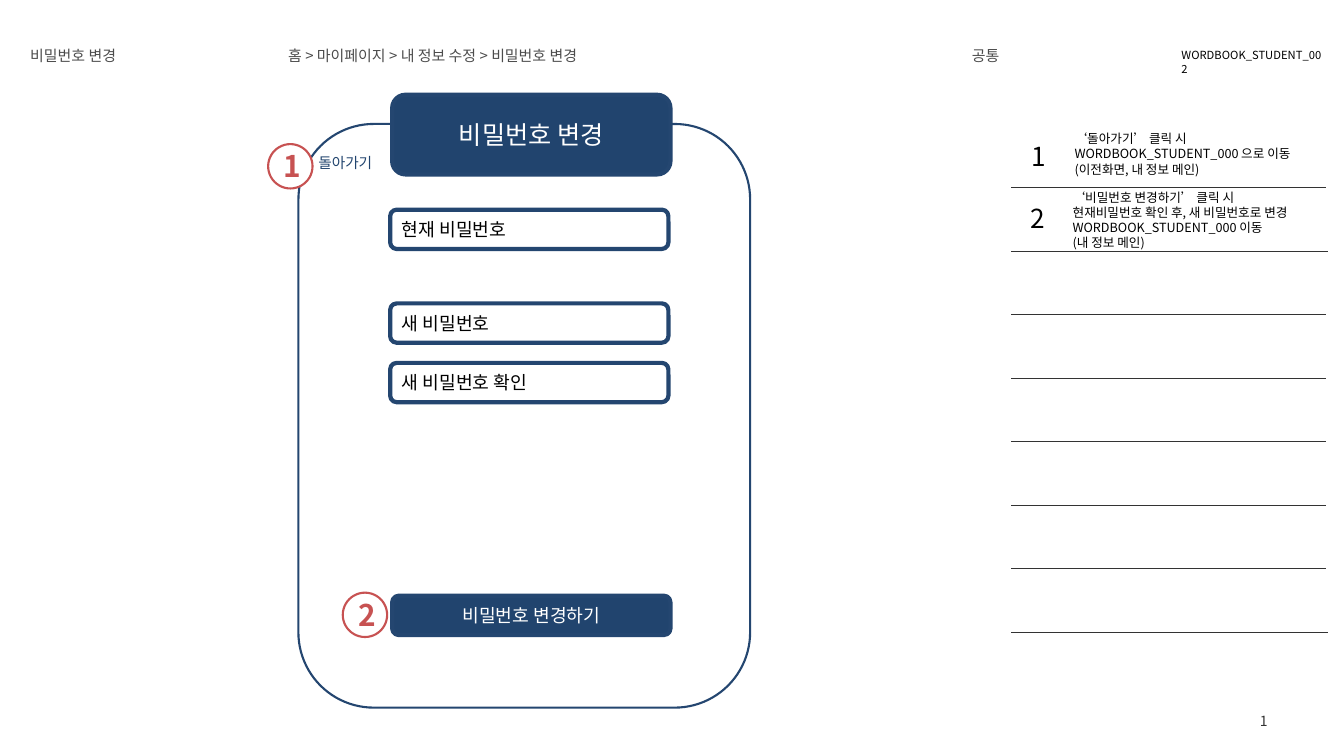
from lxml.etree import SubElement
from pptx import Presentation
from pptx.dml.color import RGBColor
from pptx.enum.shapes import MSO_CONNECTOR, MSO_SHAPE
from pptx.enum.text import MSO_ANCHOR, PP_ALIGN
from pptx.oxml.ns import qn
from pptx.util import Inches, Pt

FONT = "Noto Sans CJK KR"
NAVY = RGBColor(0x24, 0x46, 0x70)
NAVY_FILL = RGBColor(0x21, 0x44, 0x6E)
RED = RGBColor(0xC7, 0x52, 0x52)
GREY = RGBColor(0x4C, 0x4C, 0x4C)
DARK = RGBColor(0x33, 0x33, 0x33)
BLACK = RGBColor(0, 0, 0)
WHITE = RGBColor(255, 255, 255)


def write_text(shape, text, size=13, color=BLACK, bold=False, align=PP_ALIGN.LEFT,
               anchor=MSO_ANCHOR.TOP, margins=(0.1, 0.05, 0.1, 0.05), spacing=None):
    """Write one paragraph per line of text; margins are left, top, right, bottom."""
    frame = shape.text_frame
    frame.word_wrap = True
    frame.vertical_anchor = anchor
    (frame.margin_left, frame.margin_top,
     frame.margin_right, frame.margin_bottom) = [Inches(margin) for margin in margins]
    frame.text = text
    for paragraph in frame.paragraphs:
        paragraph.alignment = align
        if spacing:
            paragraph.line_spacing = Pt(spacing)
        for run in paragraph.runs:
            run.font.name = FONT
            run.font.size = Pt(size)
            run.font.bold = bold
            run.font.color.rgb = color
            SubElement(run.font._element, qn("a:ea"), typeface=FONT)


class Wireframe:
    def __init__(self, presentation):
        self.slide = presentation.slides.add_slide(presentation.slide_layouts[5])
        self.shapes = self.slide.shapes

    def title(self, text, left, top, width, height, **style):
        title = self.shapes.title
        title.left, title.top = Inches(left), Inches(top)
        title.width, title.height = Inches(width), Inches(height)
        write_text(title, text, **style)

    def label(self, text, left, top, width, height, **style):
        box = self.shapes.add_textbox(Inches(left), Inches(top), Inches(width), Inches(height))
        write_text(box, text, **style)

    def box(self, kind, left, top, width, height, line=NAVY, weight=3, fill=None, text="", **style):
        shape = self.shapes.add_shape(
            kind, Inches(left), Inches(top), Inches(width), Inches(height))
        shape.shadow.inherit = False
        if fill is None:
            shape.fill.background()
        else:
            shape.fill.solid()
            shape.fill.fore_color.rgb = fill
        shape.line.color.rgb = line
        shape.line.width = Pt(weight)
        if text:
            write_text(shape, text, anchor=MSO_ANCHOR.MIDDLE, **style)

    def field(self, text, top):
        self.box(MSO_SHAPE.ROUNDED_RECTANGLE, 3.87, top, 2.76, 0.39, text=text)

    def button(self, text, top, height, size):
        self.box(MSO_SHAPE.ROUNDED_RECTANGLE, 3.89, top, 2.76, height, fill=NAVY_FILL,
                 text=text, size=size, color=WHITE, align=PP_ALIGN.CENTER)

    def badge(self, number, left, top):
        self.box(MSO_SHAPE.OVAL, left, top, 0.44, 0.44, line=RED, weight=1.5, fill=WHITE,
                 text=number, size=21.3, color=RED, bold=True, align=PP_ALIGN.CENTER,
                 margins=(0.09, 0.09, 0.07, 0.1))

    def rule(self, left, right, top):
        line = self.shapes.add_connector(
            MSO_CONNECTOR.STRAIGHT, Inches(left), Inches(top), Inches(right), Inches(top))
        line.line.color.rgb = DARK
        line.line.width = Pt(0.3)
        SubElement(line._element.spPr, qn("a:effectLst"))

    def note(self, number, text, number_left, number_top, left, top, width, height):
        self.label(number, number_left, number_top, 0.54, 0.63, size=18.7,
                   align=PP_ALIGN.CENTER, anchor=MSO_ANCHOR.MIDDLE,
                   margins=(0.13, 0.07, 0.13, 0.07))
        self.label(text, left, top, width, height, size=9, spacing=10.9)


def main():
    presentation = Presentation()
    presentation.slide_width, presentation.slide_height = Inches(13.33), Inches(7.5)
    page = Wireframe(presentation)

    page.title("비밀번호 변경", 0.2, 0.41, 2.51, 0.28, size=10.7, color=GREY)
    page.label("홈 > 마이페이지 > 내 정보 수정 > 비밀번호 변경", 2.76, 0.41, 6.7, 0.28,
               size=10.7, color=GREY)
    page.label("공통", 9.54, 0.41, 2.06, 0.28, size=10.7, color=GREY)
    page.label("WORDBOOK_STUDENT_002", 11.62, 0.42, 1.64, 0.24, size=8, spacing=10)

    for row in range(8):
        page.rule(10.03, 13.17 if row in (1, 7) else 13.15, 1.86 + 0.63 * row)
    page.note("1", "‘돌아가기’ 클릭 시\nWORDBOOK_STUDENT_000 으로 이동\n(이전화면, 내 정보 메인)",
              10.03, 1.23, 10.56, 1.25, 2.57, 0.56)
    page.note("2", "‘비밀번호 변경하기’ 클릭 시\n현재비밀번호 확인 후, 새 비밀번호로 변경\n"
              "WORDBOOK_STUDENT_000 이동\n(내 정보 메인)",
              10.02, 1.85, 10.54, 1.83, 2.51, 0.71)

    page.box(MSO_SHAPE.ROUNDED_RECTANGLE, 2.96, 1.23, 4.48, 5.79, weight=1.5)
    page.button("비밀번호 변경", 0.94, 0.79, 18)
    page.label("돌아가기", 1.98, 1.48, 2.89, 0.29, size=10.5, color=NAVY_FILL,
               align=PP_ALIGN.CENTER)
    for text, top in (("현재 비밀번호", 2.08), ("새 비밀번호", 3.01), ("새 비밀번호 확인", 3.6)):
        page.field(text, top)
    page.button("비밀번호 변경하기", 5.91, 0.39, 13)
    page.badge("1", 2.66, 1.43)
    page.badge("2", 3.4, 5.88)
    page.label("1", 9.56, 6.95, 3.11, 0.4, size=10, color=DARK, align=PP_ALIGN.RIGHT,
               anchor=MSO_ANCHOR.MIDDLE)
    presentation.save("out.pptx")


if __name__ == "__main__":
    main()
